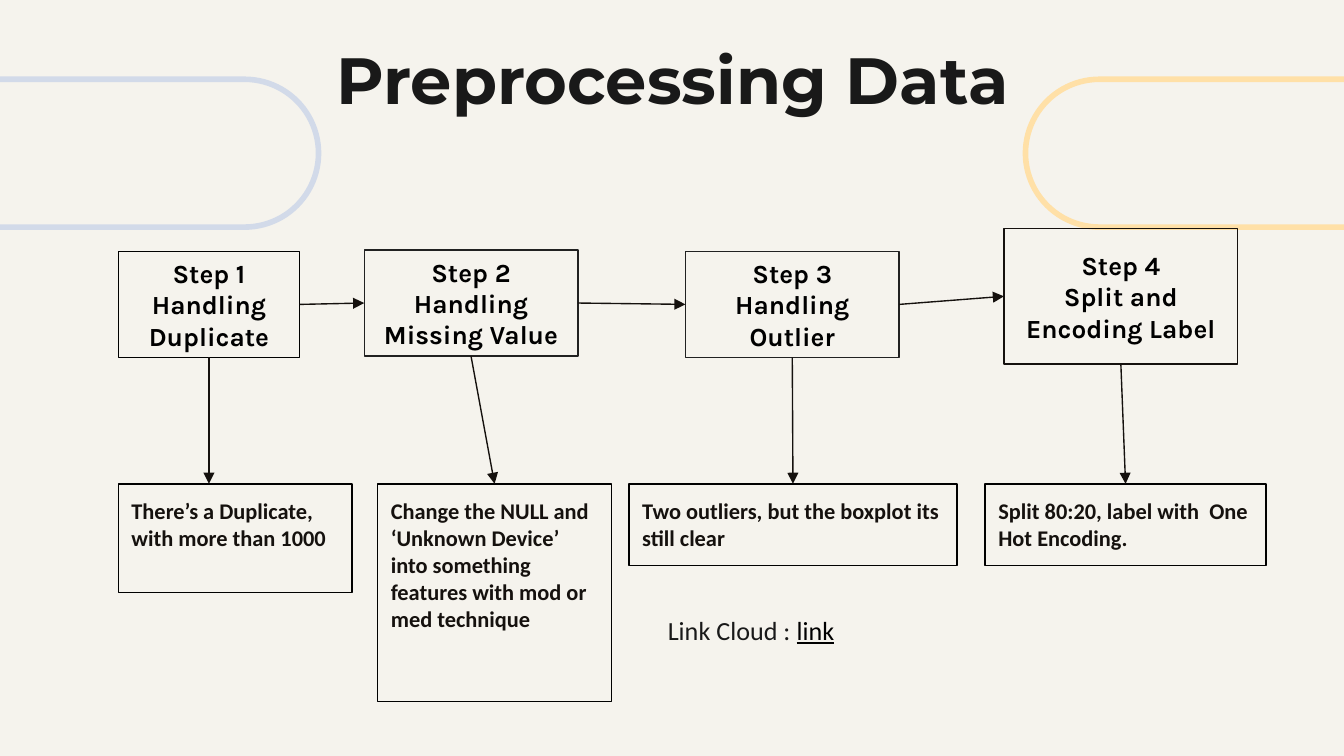
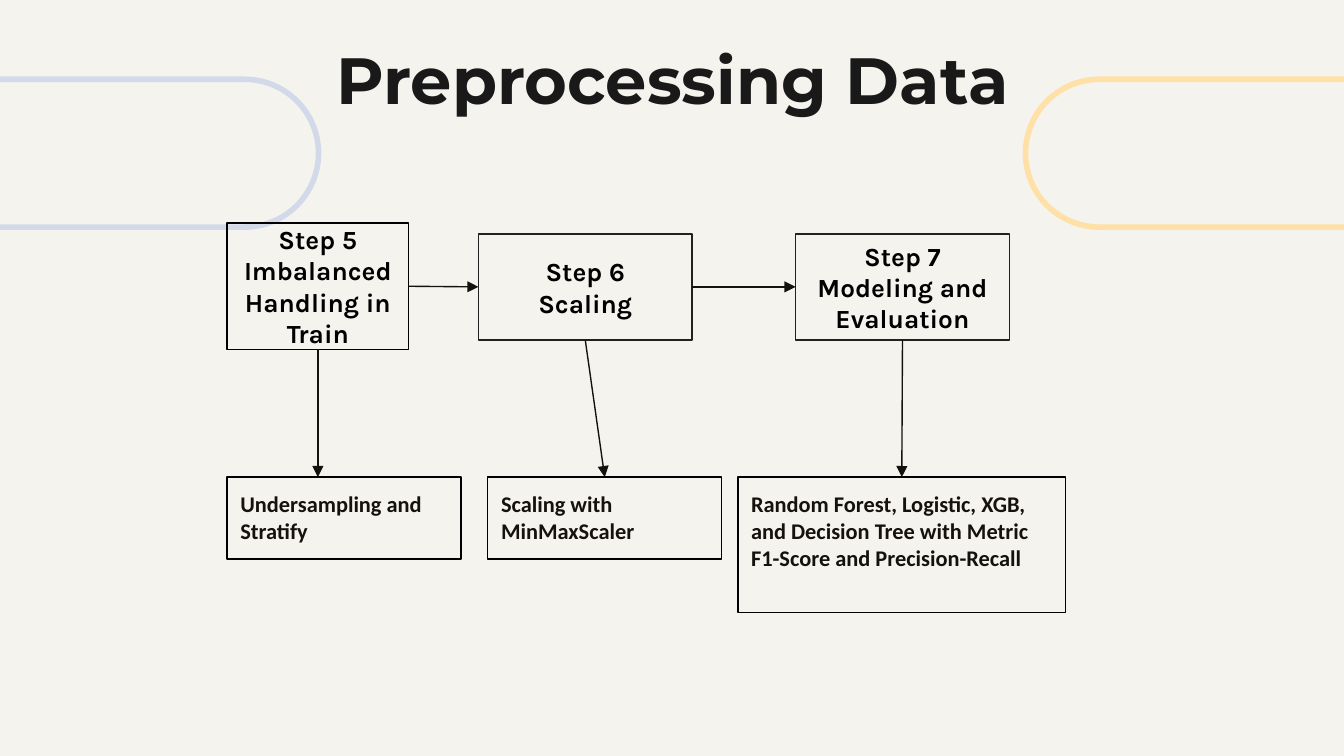
import pptx
import pptx.util
import pptx.dml.color
import pptx.enum.shapes
import pptx.enum.text
import pptx.oxml
import pptx.oxml.ns

deck = pptx.Presentation()
deck.slide_width = pptx.util.Inches(10)
deck.slide_height = pptx.util.Inches(5.625)
cell = deck.slide_width // 100

form = pptx.enum.shapes.MSO_SHAPE
align = pptx.enum.text.PP_ALIGN
anchor = pptx.enum.text.MSO_ANCHOR
ink, black, gray, dark = "15110E", "000000", "212121", "191919"


def hue(code):
    return pptx.dml.color.RGBColor.from_string(code)


def write(shape, lines, face, size, code, bold, side, hold):
    frame = shape.text_frame
    frame.word_wrap = True
    frame.vertical_anchor = hold
    frame.margin_left = frame.margin_right = cell
    frame.margin_top = frame.margin_bottom = cell
    frame.text = lines
    for para in frame.paragraphs:
        para.alignment = side
        para.font.name = face
        para.font.size = pptx.util.Pt(size)
        para.font.bold = bold
        para.font.color.rgb = hue(code)


base = deck.slide_layouts[5]
base.background.fill.solid()
base.background.fill.fore_color.rgb = hue("F5F3ED")

pages = [
    {
        "row": 36,
        "steps": [
            (8.8, 18.7, 13.5, 7.9, black, "Step 1\nHandling\nDuplicate"),
            (27.1, 18.6, 15.9, 7.9, gray, "Step 2\nHandling\nMissing Value"),
            (51, 18.7, 15.9, 7.9, gray, "Step 3\nHandling Outlier"),
            (74.7, 17, 17.4, 10.1, ink, "Step 4\nSplit and Encoding Label"),
        ],
        "notes": [
            (8.8, 17.4, 8.1, "There’s a Duplicate, with more than 1000"),
            (28.1, 17.4, 16.2, "Change the NULL and ‘Unknown Device’ into something "
             "features with mod or med technique"),
            (46.8, 24.4, 6.1, "Two outliers, but the boxplot its still clear"),
            (73.3, 20.9, 6.1, "Split 80:20, label with  One Hot Encoding."),
        ],
    },
    {
        "row": 35.5,
        "steps": [
            (16.9, 16.6, 13.5, 9.4, black, "Step 5\nImbalanced Handling in Train"),
            (35.6, 17.4, 15.9, 7.9, gray, "Step 6\nScaling"),
            (59.2, 17.4, 15.9, 7.9, gray, "Step 7\nModeling and Evaluation"),
        ],
        "notes": [
            (16.9, 17.4, 6.1, "Undersampling and Stratify"),
            (36.3, 17.4, 6.1, "Scaling with MinMaxScaler"),
            (54.9, 24.4, 10.1, "Random Forest, Logistic, XGB, and Decision Tree "
             "with Metric F1-Score and Precision-Recall"),
        ],
    },
]

slides = [deck.slides.add_slide(base) for page in pages]

for left, code in ((-8.1, "D2DAE9"), (76.3, "FFE0A7")):
    pill = slides[0].shapes.add_shape(
        form.ROUNDED_RECTANGLE, *[int(n * cell) for n in (left, 5.9, 31.8, 11)])
    pill.adjustments[0] = 0.5
    pill.shadow.inherit = False
    pill.fill.background()
    pill.line.color.rgb = hue(code)
    pill.line.width = pptx.util.Pt(3)
    base.shapes.element.insert(2, pill.element)

for slide, page in zip(slides, pages):
    head = slide.shapes.title
    head.left, head.top, head.width, head.height = [
        int(n * cell) for n in (7.9, 1.9, 84.3, 7.9)]
    write(head, "Preprocessing Data", "Montserrat", 35, dark, True,
          align.CENTER, anchor.TOP)

    steps, notes = [], []
    for *area, code, words in page["steps"]:
        box = slide.shapes.add_shape(form.RECTANGLE, *[int(n * cell) for n in area])
        box.line.color.rgb = hue(code)
        write(box, words, "Karla", 14, black, True, align.CENTER, anchor.MIDDLE)
        steps.append(box)
    for left, wide, high, words in page["notes"]:
        area = left, page["row"], wide, high
        box = slide.shapes.add_shape(form.RECTANGLE, *[int(n * cell) for n in area])
        box.line.color.rgb = hue(black)
        write(box, words, "Calibri", 12, ink, True, align.LEFT, anchor.TOP)
        notes.append(box)
    for box in steps + notes:
        box.shadow.inherit = False
        box.fill.background()
        box.line.width = pptx.util.Pt(0.75)

    links = [(a, 3, b, 1) for a, b in zip(steps, steps[1:])]
    links += [(a, 2, b, 0) for a, b in zip(steps, notes)]
    for start, out, end, into in links:
        mid = start.left + start.width // 2
        line = slide.shapes.add_connector(
            pptx.enum.shapes.MSO_CONNECTOR.STRAIGHT, mid, start.top, mid, end.top)
        line.begin_connect(start, out)
        if end is not notes[0]:
            line.end_connect(end, into)
        line.line.color.rgb = hue(ink)
        line.line.width = pptx.util.Pt(0.75)
        tip = pptx.oxml.parse_xml(
            "<a:tailEnd %s type='triangle'/>" % pptx.oxml.ns.nsdecls("a"))
        line.line._get_or_add_ln().append(tip)
        line.element.spPr.append(pptx.oxml.parse_xml(
            "<a:effectLst %s/>" % pptx.oxml.ns.nsdecls("a")))

label = slides[0].shapes.add_textbox(*[int(n * cell) for n in (48.7, 44.7, 44.2, 4.4)])
write(label, "Link Cloud : ", "Calibri", 14, dark, False, align.LEFT, anchor.TOP)
link = label.text_frame.paragraphs[0].add_run()
link.text = "link"
link.font.underline = True
link.font.color.rgb = hue(black)

deck.save("out.pptx")
